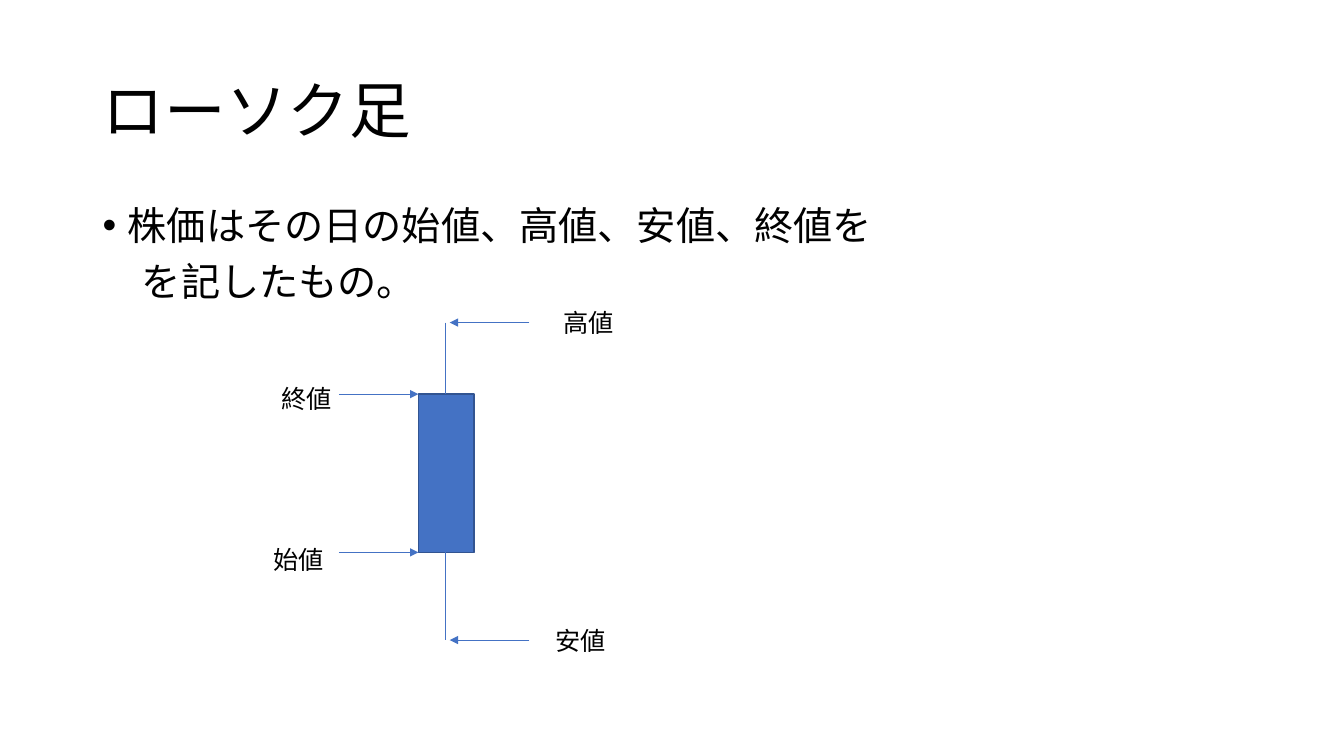
from dataclasses import dataclass
from lxml import etree
from pptx import Presentation
from pptx import util as u
from pptx.dml.color import RGBColor
from pptx.enum import shapes, text
from pptx.oxml.ns import qn


@dataclass
class Theme:
    font: str = "Noto Sans CJK JP"
    ink: RGBColor = RGBColor(0, 0, 0)
    blue: RGBColor = RGBColor(0x44, 0x72, 0xC4)
    edge: RGBColor = RGBColor(0x32, 0x54, 0x91)
    title: int = 44
    body: int = 28
    label: int = 18


theme = Theme()
prs = Presentation()
prs.slide_width, prs.slide_height = u.Inches(13.33), u.Inches(7.5)
s = prs.slides.add_slide(prs.slide_layouts[5])


def add_run(p, words, size):
    r = p.add_run()
    r.text = words
    r.font.size = u.Pt(size)
    r.font.name = theme.font
    r.font.color.rgb = theme.ink
    etree.SubElement(r.font._element, qn("a:ea"), typeface=theme.font)


def add_line(x1, y1, x2, y2, arrow=False):
    ends = [u.Inches(v) for v in (x1, y1, x2, y2)]
    c = s.shapes.add_connector(shapes.MSO_CONNECTOR.STRAIGHT, *ends)
    c.line.color.rgb = theme.blue
    c.line.width = u.Pt(0.5)
    if arrow:
        etree.SubElement(c.line._get_or_add_ln(), qn("a:tailEnd"), type="triangle")
    etree.SubElement(c._element.spPr, qn("a:effectLst"))


# Title
left, width = u.Inches(0.92), u.Inches(11.5)
sp = s.shapes.title
sp.left, sp.top, sp.width, sp.height = left, u.Inches(0.4), width, u.Inches(1.45)
tf = sp.text_frame
tf.vertical_anchor = text.MSO_ANCHOR.MIDDLE
tf.auto_size = text.MSO_AUTO_SIZE.NONE
p = tf.paragraphs[0]
p.alignment = text.PP_ALIGN.LEFT
p.line_spacing = 0.9
add_run(p, "ローソク足", theme.title)

# Explanation: a bullet and its indented continuation
tf = s.shapes.add_textbox(left, u.Inches(2), width, u.Inches(4.76)).text_frame
tf.word_wrap = True
for i, (words, margin, indent) in enumerate([
        ("株価はその日の始値、高値、安値、終値を", 0.25, -0.25),
        ("を記したもの。", 0.39, 0)]):
    p = tf.add_paragraph() if i else tf.paragraphs[0]
    p.line_spacing = 0.9
    p.space_before = u.Pt(10)
    add_run(p, words, theme.body)
    pPr = p._p.get_or_add_pPr()
    pPr.set("marL", str(u.Inches(margin)))
    pPr.set("indent", str(u.Inches(indent)))
    if indent:
        etree.SubElement(pPr, qn("a:buFont"), typeface="Arial")
        etree.SubElement(pPr, qn("a:buChar"), char="•")

# Candle: price levels, body and wicks
high, close, opening, low = 3.2, 3.91, 5.48, 6.35
body_left, body_width, wick = 4.15, 0.55, 4.42
sp = s.shapes.add_shape(shapes.MSO_SHAPE.RECTANGLE, u.Inches(body_left), u.Inches(close),
                        u.Inches(body_width), u.Inches(opening - close))
sp.shadow.inherit = False
sp.fill.solid()
sp.fill.fore_color.rgb = theme.blue
sp.line.color.rgb = theme.edge
sp.line.width = u.Pt(1)
add_line(wick, high, wick, close)
add_line(wick, opening, wick, low)

# Arrows and labels for each price
right_arrow, left_arrow = (5.25, wick + 0.04), (3.36, body_left)
for words, level, arrow, x, y in [
        ("高値", high, right_arrow, 5.49, 3),
        ("安値", low, right_arrow, 5.41, 6.15),
        ("始値", opening, left_arrow, 2.61, 5.35),
        ("終値", close, left_arrow, 2.69, 3.75)]:
    add_line(arrow[0], level, arrow[1], level, arrow=True)
    tf = s.shapes.add_textbox(u.Inches(x), u.Inches(y), u.Inches(0.71), u.Inches(0.4)).text_frame
    tf.word_wrap = False
    tf.auto_size = text.MSO_AUTO_SIZE.SHAPE_TO_FIT_TEXT
    add_run(tf.paragraphs[0], words, theme.label)

prs.save("out.pptx")
